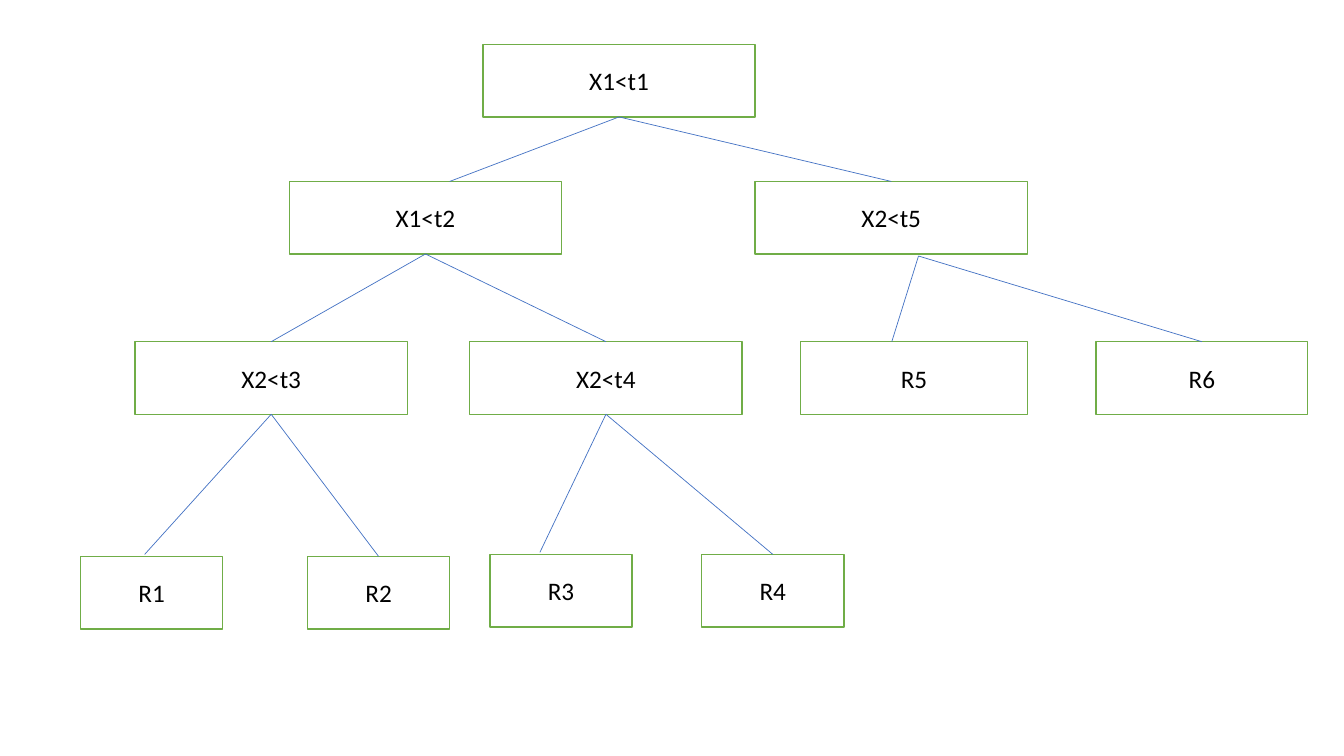
from lxml.etree import SubElement
from pptx import Presentation
from pptx.dml.color import RGBColor
from pptx.enum.shapes import MSO_CONNECTOR, MSO_SHAPE
from pptx.enum.text import MSO_ANCHOR, PP_ALIGN
from pptx.oxml.ns import qn
from pptx.util import Inches, Pt

WHITE = RGBColor(0xFF, 0xFF, 0xFF)
BLACK = RGBColor(0, 0, 0)
GREEN = RGBColor(0x70, 0xAD, 0x47)
BLUE = RGBColor(0x44, 0x72, 0xC4)

HIGH = 0.72
WIDE = 2.7
LEAF = 1.41

# Text, left, top and width, measured from the corner of the tree
NODES = [
    ("X1<t1", 3.99, 0, WIDE),
    ("X1<t2", 2.07, 1.36, WIDE),
    ("X2<t5", 6.69, 1.36, WIDE),
    ("X2<t3", 0.54, 2.95, WIDE),
    ("X2<t4", 3.86, 2.95, WIDE),
    ("R5", 7.14, 2.95, 2.25),
    ("R6", 10.07, 2.95, 2.1),
    ("R1", 0, 5.08, LEAF),
    ("R2", 2.25, 5.08, LEAF),
    ("R3", 4.06, 5.06, LEAF),
    ("R4", 6.16, 5.06, LEAF),
]

# Parent, child, then the (x, y) shift of each end from the side's middle
MID = (0, 0)
EDGES = [
    ("X1<t1", "X1<t2", MID, (0.24, 0)),
    ("X1<t2", "X2<t3", MID, MID),
    ("X2<t3", "R1", MID, (-0.07, -0.02)),
    ("X2<t5", "R5", (0.27, 0.02), (-0.22, 0)),
    ("X2<t4", "R3", MID, (-0.21, -0.02)),
    ("X1<t2", "X2<t4", MID, MID),
    ("X2<t3", "R2", MID, MID),
    ("X2<t4", "R4", MID, MID),
    ("X1<t1", "X2<t5", MID, MID),
    ("X2<t5", "R6", (0.27, 0.02), MID),
]


def write(shape, text, size=18, color=BLACK, font="Calibri"):
    frame = shape.text_frame
    frame.vertical_anchor = MSO_ANCHOR.MIDDLE
    para = frame.paragraphs[0]
    para.alignment = PP_ALIGN.CENTER
    run = para.add_run()
    run.text = text
    run.font.size = Pt(size)
    run.font.name = font
    run.font.color.rgb = color


def add_node(slide, text, left, top, width):
    node = slide.shapes.add_shape(
        MSO_SHAPE.RECTANGLE, Inches(left), Inches(top), Inches(width), Inches(HIGH))
    node.shadow.inherit = False
    node.fill.solid()
    node.fill.fore_color.rgb = WHITE
    node.line.color.rgb = GREEN
    node.line.width = Pt(1)
    write(node, text)
    return node


def add_edge(slide, parent, child, start, end):
    line = slide.shapes.add_connector(
        MSO_CONNECTOR.STRAIGHT,
        parent.left + parent.width // 2 + Inches(start[0]),
        parent.top + parent.height + Inches(start[1]),
        child.left + child.width // 2 + Inches(end[0]),
        child.top + Inches(end[1]))
    if start == MID:
        line.begin_connect(parent, 2)
    if end == MID:
        line.end_connect(child, 0)
    line.line.color.rgb = BLUE
    line.line.width = Pt(0.5)
    SubElement(line._element.spPr, qn("a:effectLst"))


def draw_tree(slide, left, top):
    # Boxes
    nodes = {text: add_node(slide, text, left + x, top + y, width)
             for text, x, y, width in NODES}
    # Branches
    for parent, child, start, end in EDGES:
        add_edge(slide, nodes[parent], nodes[child], start, end)


def main():
    deck = Presentation()
    deck.slide_width = Inches(13.33)
    deck.slide_height = Inches(7.5)
    slide = deck.slides.add_slide(deck.slide_layouts[6])
    draw_tree(slide, 0.8, 0.44)
    deck.save("out.pptx")


if __name__ == "__main__":
    main()
